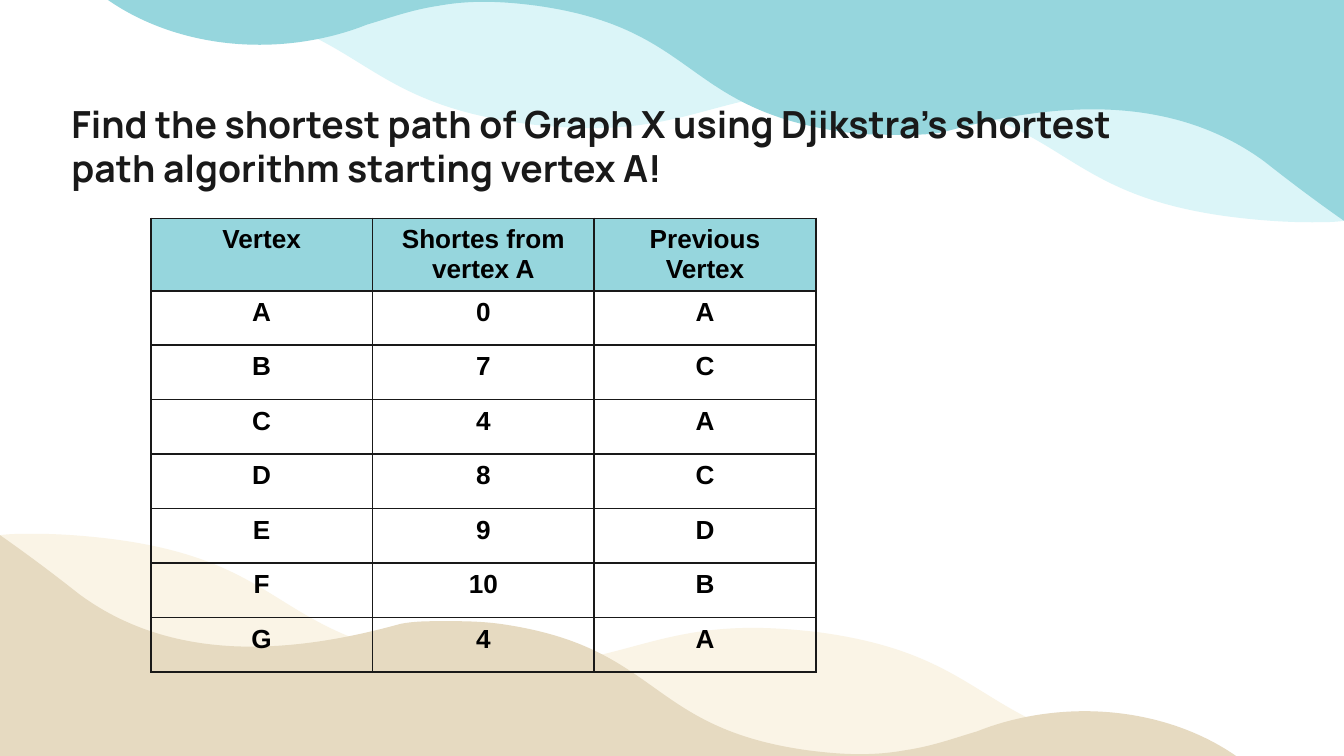
from dataclasses import dataclass

from lxml.etree import SubElement
from pptx import Presentation
from pptx.dml.color import RGBColor
from pptx.enum.text import MSO_ANCHOR, MSO_AUTO_SIZE, PP_ALIGN
from pptx.oxml.ns import qn
from pptx.util import Cm, Pt


@dataclass(frozen=True)
class Theme:
    ink: str = "191919"
    text: str = "000000"
    sea: str = "96D6DD"
    foam: str = "DBF5F8"
    sand: str = "E6DAC1"
    cream: str = "FAF4E6"
    head: str = "Manrope"
    body: str = "Arial"
    big: int = 20
    small: int = 14
    line: int = 1


theme = Theme()
INCH = 2.54  # wave points are in inches
DROP = 0.01


def draw(shapes, start, parts):
    """Draw an outline of lines (one point) and Bezier curves (three points)."""
    dots = [(Cm(x * INCH), Cm(y * INCH + DROP))
            for x, y in [start] + [dot for part in parts for dot in part]]
    pen = shapes.build_freeform(*dots[0])
    pen.add_line_segments(dots[1:], close=True)
    shape = pen.convert_to_shape()
    # Join each three points into one curve
    lines = iter(list(shape.element.iter(qn("a:lnTo"))))
    for part in parts:
        group = [next(lines) for dot in part]
        if len(group) == 3:
            first = group[0]
            curve = first.makeelement(qn("a:cubicBezTo"))
            first.addprevious(curve)
            for line in group:
                curve.append(line[0])
                line.getparent().remove(line)
    return shape


def write(para, text, font, size, color):
    run = para.add_run()
    run.text = text
    run.font.name = font
    run.font.size = Pt(size)
    run.font.bold = True
    run.font.color.rgb = RGBColor.from_string(color)


# Slide
deck = Presentation()
deck.slide_width, deck.slide_height = Cm(25.4), Cm(14.29)
slide = deck.slides.add_slide(deck.slide_layouts[5])

# Waves: a pale one behind a strong one, at the top and turned round at the bottom
pale = (1.95, -1.67), [
    [(3.1, -1.48), (3.04, -0.95), (4.3, -0.79)],
    [(4.48, -0.76), (4.63, -0.75), (4.77, -0.75)],
    [(5.52, -0.75), (5.81, -1.04), (6.56, -1.04)],
    [(6.7, -1.04), (6.86, -1.03), (7.04, -1)],
    [(8.34, -0.83), (8.22, -0.27), (9.53, -0.09)],
    [(9.68, -0.08), (9.81, -0.07), (9.93, -0.07)],
    [(9.95, -0.07), (9.98, -0.07), (10, -0.07)],
    [(10, 1.64)],
    [(9.92, 1.65), (9.84, 1.65), (9.76, 1.65)],
    [(9.59, 1.65), (9.4, 1.64), (9.16, 1.61)],
    [(7.85, 1.44), (7.97, 0.88), (6.67, 0.7)],
    [(6.49, 0.68), (6.33, 0.67), (6.19, 0.67)],
    [(5.44, 0.67), (5.15, 0.95), (4.4, 0.95)],
    [(4.26, 0.95), (4.11, 0.94), (3.93, 0.92)],
    [(2.62, 0.75), (2.74, 0.19), (1.43, 0.01)],
    [(1.29, -0.01), (1.16, -0.02), (1.03, -0.02)],
    [(0.96, -0.02), (0.89, -0.01), (0.82, -0.01)],
    [(0.82, -1.67)],
]
strong = (10, -0.02), [
    [(10, 1.64)],
    [(9.8, 1.5), (9.6, 1.35), (9.41, 1.2)],
    [(9.03, 0.92), (8.59, 0.81), (8.13, 0.81)],
    [(7.76, 0.81), (7.38, 0.88), (7.02, 0.98)],
    [(6.92, 1), (6.81, 1), (6.69, 1)],
    [(6.57, 1), (6.43, 1), (6.28, 0.98)],
    [(5.08, 0.81), (5.2, 0.21), (4, 0.04)],
    [(3.85, 0.02), (3.72, 0.01), (3.6, 0.01)],
    [(3.48, 0.01), (3.37, 0.02), (3.26, 0.04)],
    [(3.06, 0.07), (2.9, 0.13), (2.73, 0.18)],
    [(2.48, 0.28), (2.2, 0.33), (1.93, 0.33)],
    [(1.51, 0.33), (1.1, 0.21), (0.78, -0.02)],
]
for form, color, turned in (
    (pale, theme.foam, False),
    (strong, theme.sea, False),
    (pale, theme.cream, True),
    (strong, theme.sand, True),
):
    wave = draw(slide.shapes, *form)
    wave.shadow.inherit = False
    wave.fill.solid()
    wave.fill.fore_color.rgb = RGBColor.from_string(color)
    wave.line.fill.background()
    if turned:
        wave.left = deck.slide_width - wave.left - wave.width
        wave.top = deck.slide_height - wave.top - wave.height
        wave.rotation = 180

# Title, brought in front of the waves
title = slide.shapes.title
title.element.getparent().append(title.element)
title.left, title.top, title.width, title.height = Cm(1.1), Cm(1.58), Cm(20.35), Cm(2.34)
frame = title.text_frame
frame.word_wrap = True
frame.auto_size = MSO_AUTO_SIZE.NONE
frame.vertical_anchor = MSO_ANCHOR.MIDDLE
frame.margin_left = frame.margin_right = Cm(0.25)
frame.margin_top = frame.margin_bottom = Cm(0.25)
para = frame.paragraphs[0]
para.alignment = PP_ALIGN.LEFT
para.line_spacing = 1.0
write(para, "Find the shortest path of Graph X using Djikstra’s shortest path "
      "algorithm starting vertex A!", theme.head, theme.big, theme.ink)

# Table of shortest paths
rows = [
    ("Vertex", "Shortes from vertex A", "Previous Vertex"),
    ("A", "0", "A"),
    ("B", "7", "C"),
    ("C", "4", "A"),
    ("D", "8", "C"),
    ("E", "9", "D"),
    ("F", "10", "B"),
    ("G", "4", "A"),
]
table = slide.shapes.add_table(
    len(rows), 3, Cm(2.85), Cm(4.13), Cm(12.57), Cm(8.24)).table
table.first_row = table.horz_banding = False
for col in table.columns:
    col.width = Cm(4.19)
for r, row in enumerate(rows):
    table.rows[r].height = Cm(1.03)
    for c, text in enumerate(row):
        cell = table.cell(r, c)
        # Borders come before the fill
        props = cell._tc.get_or_add_tcPr()
        for side in ("a:lnL", "a:lnR", "a:lnT", "a:lnB"):
            edge = SubElement(props, qn(side), w=str(Pt(theme.line)))
            SubElement(SubElement(edge, qn("a:solidFill")), qn("a:srgbClr"), val=theme.ink)
        if r == 0:
            cell.fill.solid()
            cell.fill.fore_color.rgb = RGBColor.from_string(theme.sea)
        else:
            cell.fill.background()
        para = cell.text_frame.paragraphs[0]
        para.alignment = PP_ALIGN.CENTER
        write(para, text, theme.body, theme.small, theme.text)

deck.save("out.pptx")
